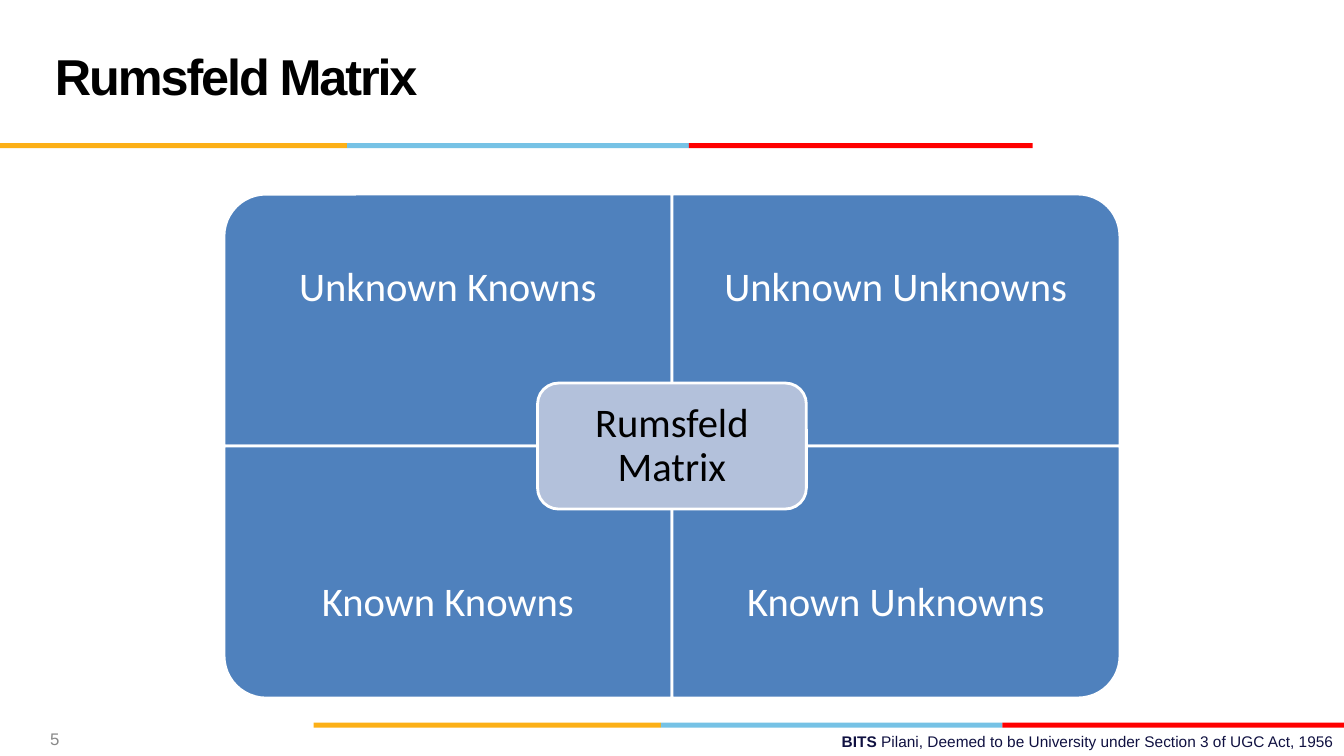
"""Build the Rumsfeld Matrix slide."""
from itertools import product
from pptx import Presentation
from pptx.dml.color import RGBColor
from pptx.enum.shapes import MSO_SHAPE
from pptx.enum.text import MSO_ANCHOR, MSO_AUTO_SIZE, PP_ALIGN
from pptx.util import Inches, Pt

HUES = {
    "gold": "FCB017", "sky": "76C2E5", "red": "FF0000", "navy": "101141",
    "blue": "4F81BD", "pale": "B3C1DB", "gray": "898989",
    "white": "FFFFFF", "black": "000000",
}


class Deck:
    """Hold the style and the current slide on a grid of 12 by 12 cells."""

    def __init__(self):
        self.prs = Presentation()
        self.prs.slide_width, self.prs.slide_height = Inches(13.33), Inches(7.5)
        self.slide = self.prs.slides.add_slide(self.prs.slide_layouts[5])

    def box(self, col, row, cols, rows):
        """Turn grid cells into lengths."""
        wide, high = self.prs.slide_width / 12, self.prs.slide_height / 12
        return [round(n) for n in (col * wide, row * high, cols * wide, rows * high)]

    def label(self, frame, runs, size, font, hue, align=PP_ALIGN.LEFT, space=1.0, inset=None):
        """Fill a frame with one paragraph of (text, bold) runs."""
        frame.word_wrap = True
        frame.auto_size = MSO_AUTO_SIZE.NONE
        frame.vertical_anchor = MSO_ANCHOR.MIDDLE
        if inset is not None:
            frame.margin_left = frame.margin_right = Inches(inset)
            frame.margin_top = frame.margin_bottom = Inches(inset)
        para = frame.paragraphs[0]
        para.alignment, para.line_spacing = align, space
        for text, bold in runs:
            run = para.add_run()
            run.text = text
            run.font.size, run.font.name, run.font.bold = Pt(size), font, bold
            run.font.color.rgb = RGBColor.from_string(HUES[hue])
        return para

    def title(self, text, cells):
        """Place the title with tight letters."""
        head = self.slide.shapes.title
        head.left, head.top, head.width, head.height = self.box(*cells)
        para = self.label(head.text_frame, [(text, True)], 36, "Arial", "black", space=Pt(36))
        para.runs[0].font._element.set("spc", "-150")

    def text(self, cells, runs, *style, **more):
        """Add a text box."""
        area = self.slide.shapes.add_textbox(*self.box(*cells))
        self.label(area.text_frame, runs, *style, **more)

    def shape(self, kind, cells, fill, line=None, turn=0):
        """Add a shape that covers the cells after its turn."""
        left, top, wide, high = self.box(*cells)
        if turn % 180:
            left, top = left + (wide - high) // 2, top + (high - wide) // 2
            wide, high = high, wide
        item = self.slide.shapes.add_shape(kind, left, top, wide, high)
        item.rotation = turn
        item.shadow.inherit = False
        item.fill.solid()
        item.fill.fore_color.rgb = RGBColor.from_string(HUES[fill])
        if line:
            item.line.color.rgb = RGBColor.from_string(HUES[line])
            item.line.width = Pt(2)
        else:
            item.line.fill.background()
        return item

    def stripe(self, col, row):
        """Draw the three-colour band."""
        for hue, cols in (("gold", 3.1), ("sky", 3.05), ("red", 3.07)):
            self.shape(MSO_SHAPE.RECTANGLE, (col, row, cols, 0.08), hue)
            col += cols

    def matrix(self, col, row, names, core):
        """Draw four quadrants around a core label."""
        style = {"align": PP_ALIGN.CENTER, "space": 0.9}
        for (down, side), name, turn in zip(product((0, 1), repeat=2), names, (270, 0, 180, 90)):
            left, top = col + 4 * side, row + 4 * down
            self.shape(MSO_SHAPE.ROUND_1_RECTANGLE, (left, top, 4, 4), "blue", "white", turn)
            self.text((left, top + down, 4, 3), [(name, False)], 29, "Calibri", "white",
                      inset=0.23, **style)
        hub = self.shape(MSO_SHAPE.ROUNDED_RECTANGLE, (col + 2.8, row + 3, 2.4, 2), "pale", "white")
        self.label(hub.text_frame, [(core, False)], 29, "Calibri", "black", inset=0.18, **style)


def main():
    """Compose and save the slide."""
    deck = Deck()
    deck.stripe(0, 2.27)
    deck.stripe(2.8, 11.47)
    deck.title("Rumsfeld Matrix", (0.4, 0.27, 8.3, 2))
    names = ("Unknown Knowns", "Unknown Unknowns", "Known Knowns", "Known Unknowns")
    deck.matrix(2, 3.08, names, "Rumsfeld Matrix")
    foot = [("BITS ", True), ("Pilani, Deemed to be University under Section 3 of UGC Act, 1956", False)]
    deck.text((4.3, 11.54, 7.7, 0.46), foot, 11, "Arial", "navy", align=PP_ALIGN.RIGHT)
    deck.text((0.36, 11.46, 2.8, 0.54), [("5", False)], 12, "Arial", "gray")
    deck.prs.save("out.pptx")


if __name__ == "__main__":
    main()
